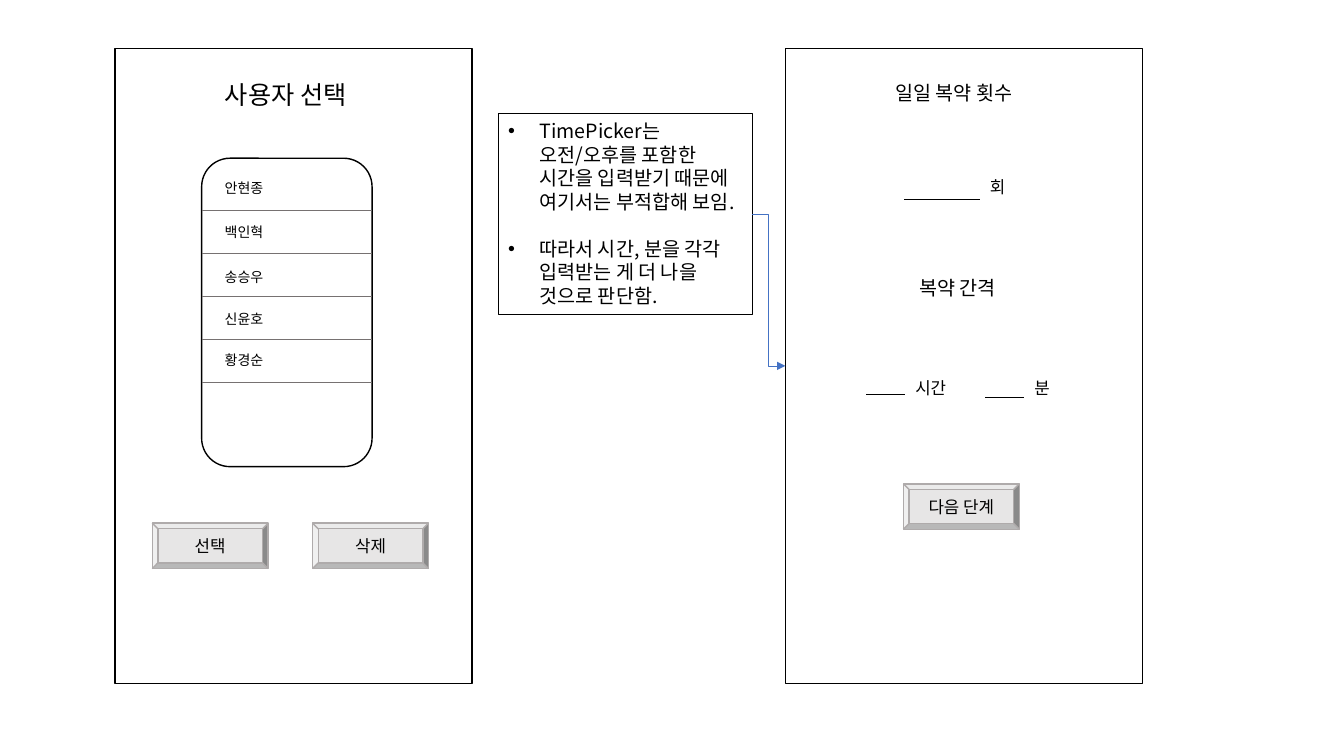
from lxml import etree
from pptx import Presentation
from pptx.dml.color import RGBColor
from pptx.enum.shapes import MSO_CONNECTOR, MSO_SHAPE
from pptx.enum.text import MSO_ANCHOR, MSO_AUTO_SIZE, PP_ALIGN
from pptx.oxml.ns import qn
from pptx.util import Inches, Pt

FONT = "Noto Sans CJK KR"
BLACK, WHITE, GREY, SILVER, EDGE, BLUE = "000000", "FFFFFF", "767171", "E7E6E6", "AFABAB", "4472C4"


def colour(hex_code):
    return RGBColor.from_string(hex_code)


class Wireframe:
    """Draws mobile screen mock-ups on a slide, in grid cells of a tenth of an inch."""

    def __init__(self, slide):
        self.slide = slide
        self.shapes = slide.shapes

    def cells(self, *counts):
        return [Inches(count / 10) for count in counts]

    def set_text(self, shape, paragraphs, size, align=PP_ALIGN.LEFT, anchor=MSO_ANCHOR.TOP):
        frame = shape.text_frame
        frame.auto_size, frame.word_wrap = MSO_AUTO_SIZE.NONE, True
        frame.vertical_anchor = anchor
        frame.text = "\n".join(paragraphs)
        for paragraph in frame.paragraphs:
            paragraph.alignment = align
            paragraph.space_before = Pt(0)
            paragraph.line_spacing = Pt(size * 1.2)
            for run in paragraph.runs:
                run.font.name, run.font.size = FONT, Pt(size)
                run.font.color.rgb = colour(BLACK)
                etree.SubElement(run.font._element, qn("a:ea"), typeface=FONT)

    def block(self, kind, box, fill=WHITE, edge=BLACK):
        shape = self.shapes.add_shape(kind, *self.cells(*box))
        shape.shadow.inherit = False
        shape.fill.solid()
        shape.fill.fore_color.rgb = colour(fill)
        shape.line.color.rgb, shape.line.width = colour(edge), Pt(1)
        return shape

    def screen(self, left):
        return self.block(MSO_SHAPE.RECTANGLE, (left, 4.8, 35.4, 63))

    def button(self, left, top, label):
        shape = self.block(MSO_SHAPE.BEVEL, (left, top, 11.5, 4.5), SILVER, EDGE)
        self.set_text(shape, [label], 12, PP_ALIGN.CENTER, MSO_ANCHOR.MIDDLE)

    def label(self, box, text, size):
        self.set_text(self.shapes.add_textbox(*self.cells(*box)), [text], size)

    def placeholder(self, shape, box, paragraphs, size):
        shape.left, shape.top, shape.width, shape.height = self.cells(*box)
        self.set_text(shape, paragraphs, size)
        self.shapes._spTree.append(shape._element)
        return shape

    def note(self, shape, box, points, size):
        self.placeholder(shape, box, points, size)
        shape.line.color.rgb, shape.line.width = colour(BLACK), Pt(0.75)
        indent = Inches(0.31)
        for paragraph in shape.text_frame.paragraphs:
            properties = paragraph._p.get_or_add_pPr()
            properties.set("marL", str(indent))
            properties.set("indent", str(-indent))
            etree.SubElement(properties, qn("a:buFont"), typeface="Arial")
            etree.SubElement(properties, qn("a:buChar"), char="•")
        for paragraph in shape.text_frame.paragraphs[1:]:
            paragraph.space_before = Pt(size * 1.2)
        return shape

    def connector(self, kind, ends, ink):
        line = self.shapes.add_connector(kind, *self.cells(*ends))
        line.line.color.rgb, line.line.width = colour(ink), Pt(0.5)
        etree.SubElement(line._element.spPr, qn("a:effectLst"))
        return line

    def rule(self, left, top, width, ink=BLACK):
        self.connector(MSO_CONNECTOR.STRAIGHT, (left, top, left + width, top), ink)

    def arrow(self, source, target):
        line = self.connector(MSO_CONNECTOR.ELBOW, (0, 0, 0, 0), BLUE)
        line.begin_connect(source, 3)
        line.end_connect(target, 1)
        etree.SubElement(line.line._get_or_add_ln(), qn("a:tailEnd"), type="triangle")


deck = Presentation()
deck.slide_width, deck.slide_height = Inches(13.33), Inches(7.5)
page = Wireframe(deck.slides.add_slide(deck.slide_layouts[1]))
title, body = page.shapes.placeholders

page.screen(11.4)
page.placeholder(title, (21.3, 7.4, 15.6, 4), ["사용자 선택"], 18)
page.block(MSO_SHAPE.ROUNDED_RECTANGLE, (20, 15.7, 16.9, 30.6))
users = {"안현종": 17.3, "백인혁": 21.7, "송승우": 26.2, "신윤호": 30.3, "황경순": 34.4}
for row, (user, top) in enumerate(users.items()):
    page.rule(20, 20.9 + row * 4.25, 16.9, GREY)
    page.label((21.3, top, 7.1, 2.7), user, 10)
for left, action in ((15.1, "선택"), (31, "삭제")):
    page.button(left, 51.9, action)

dosage_screen = page.screen(77.9)
page.label((87.8, 7.5, 15.6, 3.4), "일일 복약 횟수", 14)
page.label((90.2, 26.9, 10.9, 3.4), "복약 간격", 14)
fields = (
    (89.7, 19.8, 7.5, 17, "회"),
    (85.9, 39.1, 3.9, 37, "시간"),
    (97.7, 39.4, 3.9, 37, "분"),
)
for left, line_top, width, unit_top, unit in fields:
    page.rule(left, line_top, width)
    page.label((left + width, unit_top, 6, 3), unit, 12)
page.button(89.6, 48, "다음 단계")

reasons = [
    "TimePicker는 오전/오후를 포함한 시간을 입력받기 때문에 여기서는 부적합해 보임.",
    "따라서 시간, 분을 각각 입력받는 게 더 나을 것으로 판단함.",
]
page.arrow(page.note(body, (49.4, 11.3, 25.2, 19.9), reasons, 14), dosage_screen)

deck.save("out.pptx")
